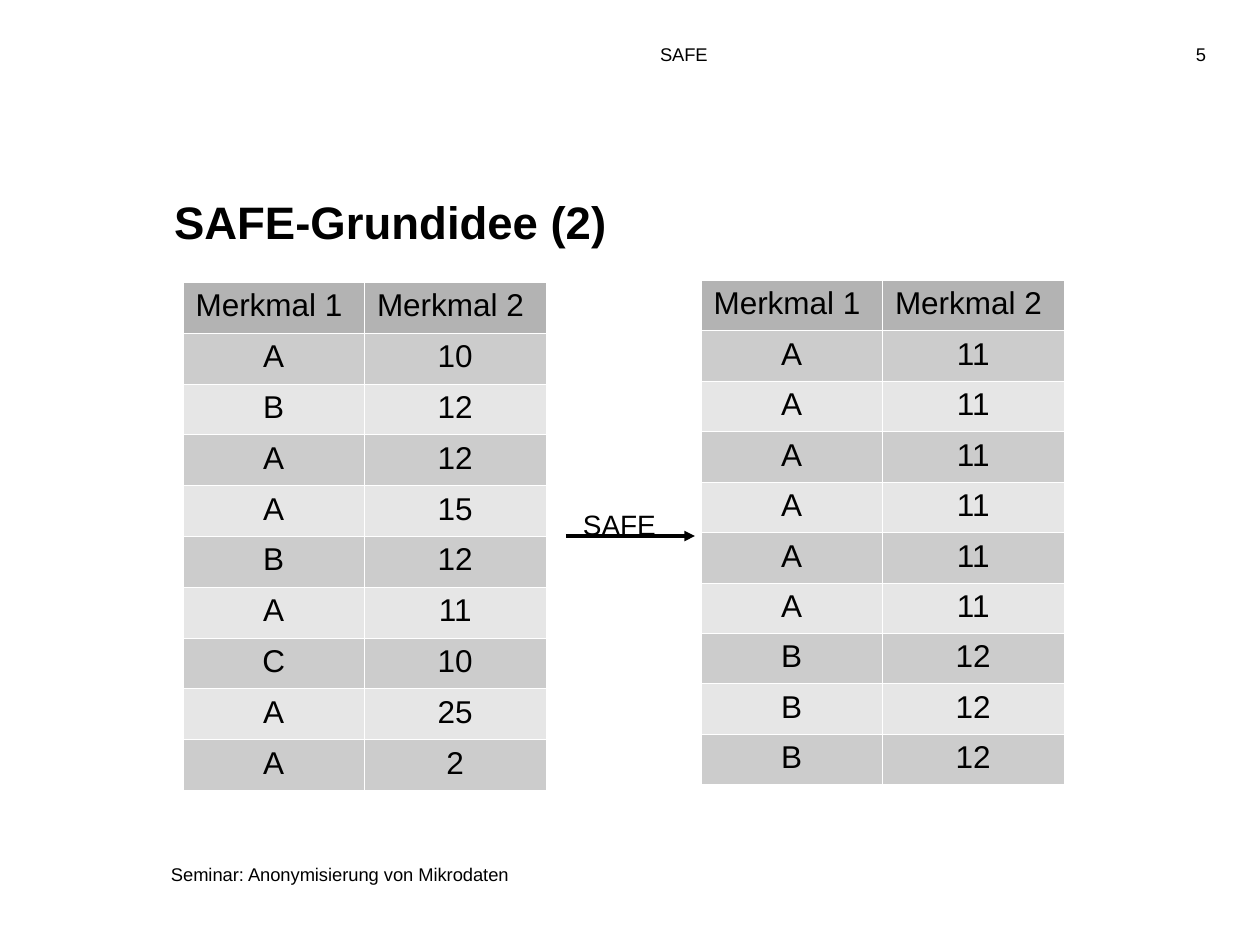
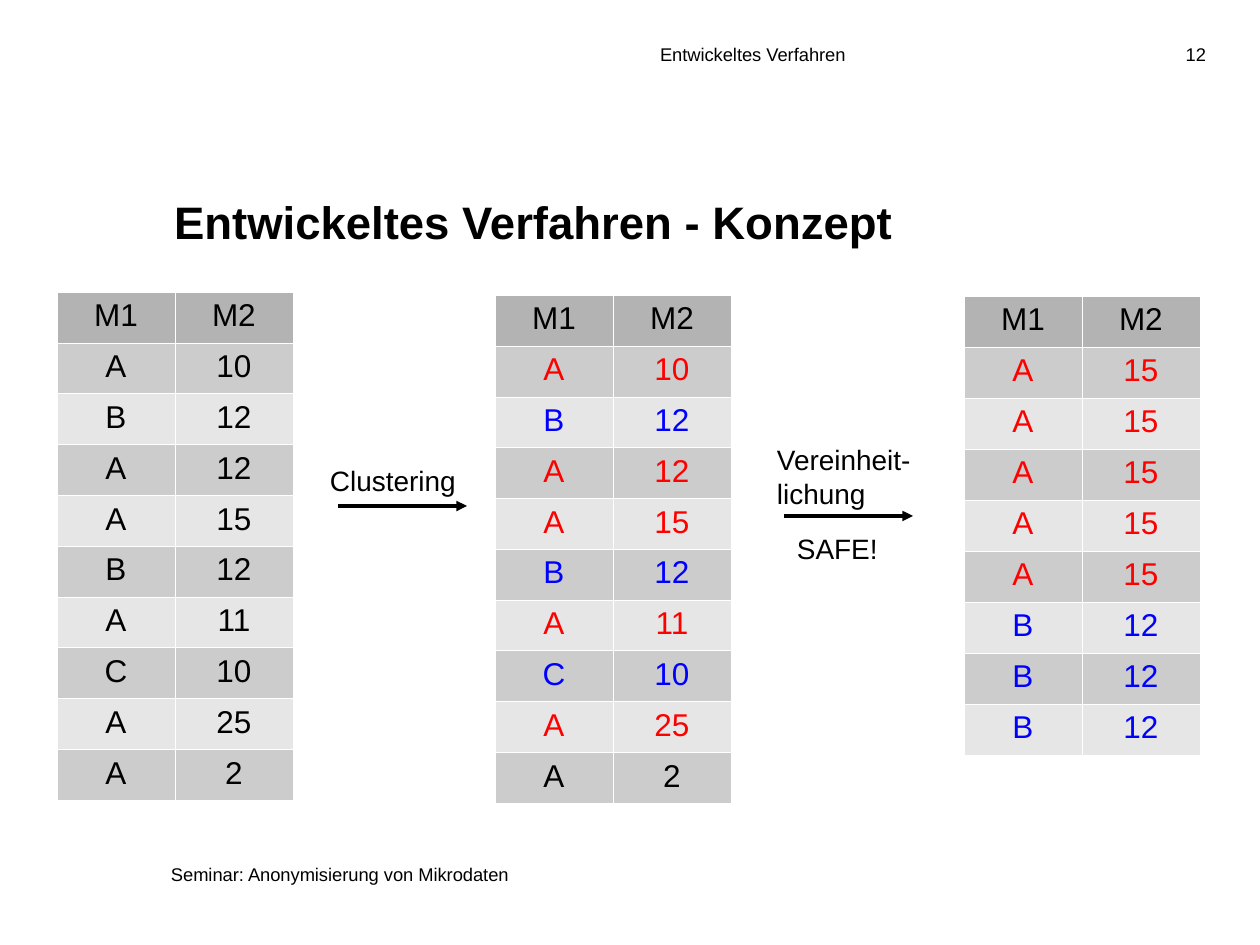
from lxml import etree
from pptx import Presentation
from pptx.dml.color import RGBColor
from pptx.enum.shapes import MSO_CONNECTOR
from pptx.enum.text import MSO_ANCHOR, PP_ALIGN
from pptx.oxml.ns import qn
from pptx.util import Emu, Pt

PX = 914400 / 126
FONT = "Arial"
BLACK = RGBColor(0x00, 0x00, 0x00)
RED = RGBColor(0xFF, 0x00, 0x00)
BLUE = RGBColor(0x00, 0x00, 0xFF)
WHITE = RGBColor(0xFF, 0xFF, 0xFF)
HEADER_GREY = RGBColor(0xB3, 0xB3, 0xB3)
BAND_GREYS = (RGBColor(0xCC, 0xCC, 0xCC), RGBColor(0xE6, 0xE6, 0xE6))
BORDER_WIDTH = 720

FOOTER = "Seminar: Anonymisierung von Mikrodaten"
SOURCE_ROWS = [("A", 10), ("B", 12), ("A", 12), ("A", 15), ("B", 12),
               ("A", 11), ("C", 10), ("A", 25), ("A", 2)]
SAFE_ROWS = [("A", 11)] * 6 + [("B", 12)] * 3
UNIFIED_ROWS = [("A", 15)] * 5 + [("B", 12)] * 3
CLUSTER_COLOURS = {"A": RED, "B": BLUE, "C": BLUE}


def px(length):
    return Emu(round(length * PX))


def write_text(frame, text, size=16, colour=BLACK, bold=False, align=PP_ALIGN.LEFT):
    """Fill a text frame, one paragraph per line of text."""
    frame.text = text
    for paragraph in frame.paragraphs:
        paragraph.alignment = align
        font = paragraph.font
        font.name, font.size, font.bold = FONT, Pt(size), bold
        font.color.rgb = colour


def add_text(slide, text, left, top, width, height, margins=(13, 6, 13, 6),
             anchor=MSO_ANCHOR.TOP, **text_format):
    box = slide.shapes.add_textbox(px(left), px(top), px(width), px(height))
    frame = box.text_frame
    frame.word_wrap = True
    frame.vertical_anchor = anchor
    (frame.margin_left, frame.margin_top,
     frame.margin_right, frame.margin_bottom) = map(px, margins)
    write_text(frame, text, **text_format)


def add_arrow(slide, left, y, length=129):
    arrow = slide.shapes.add_connector(
        MSO_CONNECTOR.STRAIGHT, px(left), px(y), px(left + length), px(y))
    arrow.line.color.rgb = BLACK
    arrow.line.width = Emu(0)
    line = arrow.line._get_or_add_ln()
    etree.SubElement(line, qn("a:tailEnd"), type="triangle")
    etree.SubElement(arrow._element.spPr, qn("a:effectLst"))


def add_borders(cell):
    properties = cell._tc.get_or_add_tcPr()
    for index, side in enumerate(("lnL", "lnR", "lnT", "lnB")):
        border = etree.Element(qn(f"a:{side}"), w=str(BORDER_WIDTH))
        fill = etree.SubElement(border, qn("a:solidFill"))
        etree.SubElement(fill, qn("a:srgbClr"), val=str(WHITE))
        properties.insert(index, border)


def add_data_table(slide, headings, rows, left, top, width, height,
                   colours=None, heading_align=PP_ALIGN.CENTER):
    lines = [headings, *rows]
    colours = [BLACK, *(colours or [BLACK] * len(rows))]
    table = slide.shapes.add_table(len(lines), len(headings), px(left), px(top),
                                   px(width), px(height)).table
    for column in table.columns:
        column.width = px(width / len(headings))
    for row_index, (values, colour) in enumerate(zip(lines, colours)):
        table.rows[row_index].height = px(height / len(lines))
        is_heading = row_index == 0
        for column_index, value in enumerate(values):
            cell = table.cell(row_index, column_index)
            cell.fill.solid()
            cell.fill.fore_color.rgb = (
                HEADER_GREY if is_heading else BAND_GREYS[(row_index - 1) % 2])
            add_borders(cell)
            write_text(cell.text_frame, str(value), size=18, colour=colour,
                       align=heading_align if is_heading else PP_ALIGN.CENTER)


def add_slide(presentation, section, number, title):
    """Add a blank slide with its section name, footer, number and title."""
    slide = presentation.slides.add_slide(presentation.slide_layouts[6])
    small = dict(size=10.5, anchor=MSO_ANCHOR.MIDDLE)
    add_text(slide, section, 655, 29, 446, 50, margins=(5, 5, 5, 5), **small)
    add_text(slide, FOOTER, 169, 849, 399, 50, margins=(2, 5, 2, 5), **small)
    add_text(slide, str(number), 1126, 29, 85, 50, margins=(5, 5, 5, 5),
             align=PP_ALIGN.RIGHT, **small)
    add_text(slide, title, 169, 189, 898, 83, margins=(5, 5, 2, 5), size=26, bold=True)
    return slide


def add_idea_slide(presentation):
    slide = add_slide(presentation, "SAFE", 5, "SAFE-Grundidee (2)")
    headings = ("Merkmal 1", "Merkmal 2")
    add_data_table(slide, headings, SOURCE_ROWS, 183, 282, 363, 508,
                   heading_align=PP_ALIGN.LEFT)
    add_data_table(slide, headings, SAFE_ROWS, 701, 280, 363, 504,
                   heading_align=PP_ALIGN.LEFT)
    add_arrow(slide, 566, 536)
    add_text(slide, "SAFE", 570, 502, 104, 44)


def add_concept_slide(presentation):
    slide = add_slide(presentation, "Entwickeltes Verfahren", 12,
                      "Entwickeltes Verfahren - Konzept")
    headings = ("M1", "M2")
    unified_colours = [CLUSTER_COLOURS[letter] for letter, _ in UNIFIED_ROWS]
    # The last source row belongs to no cluster.
    source_colours = [CLUSTER_COLOURS[letter] for letter, _ in SOURCE_ROWS[:-1]] + [BLACK]
    add_data_table(slide, headings, SOURCE_ROWS, 57, 292, 236, 508)
    add_arrow(slide, 338, 506)
    add_text(slide, "Clustering", 317, 457, 159, 44)
    add_data_table(slide, headings, SOURCE_ROWS, 495, 295, 236, 508, source_colours)
    add_arrow(slide, 784, 516)
    add_text(slide, "Vereinheit-\nlichung", 764, 437, 248, 74)
    add_data_table(slide, headings, UNIFIED_ROWS, 964, 296, 236, 459, unified_colours)
    add_text(slide, "SAFE!", 784, 526, 118, 44)


def main():
    presentation = Presentation()
    presentation.slide_width = px(1260)
    presentation.slide_height = px(945)
    add_idea_slide(presentation)
    add_concept_slide(presentation)
    presentation.save("out.pptx")


if __name__ == "__main__":
    main()
